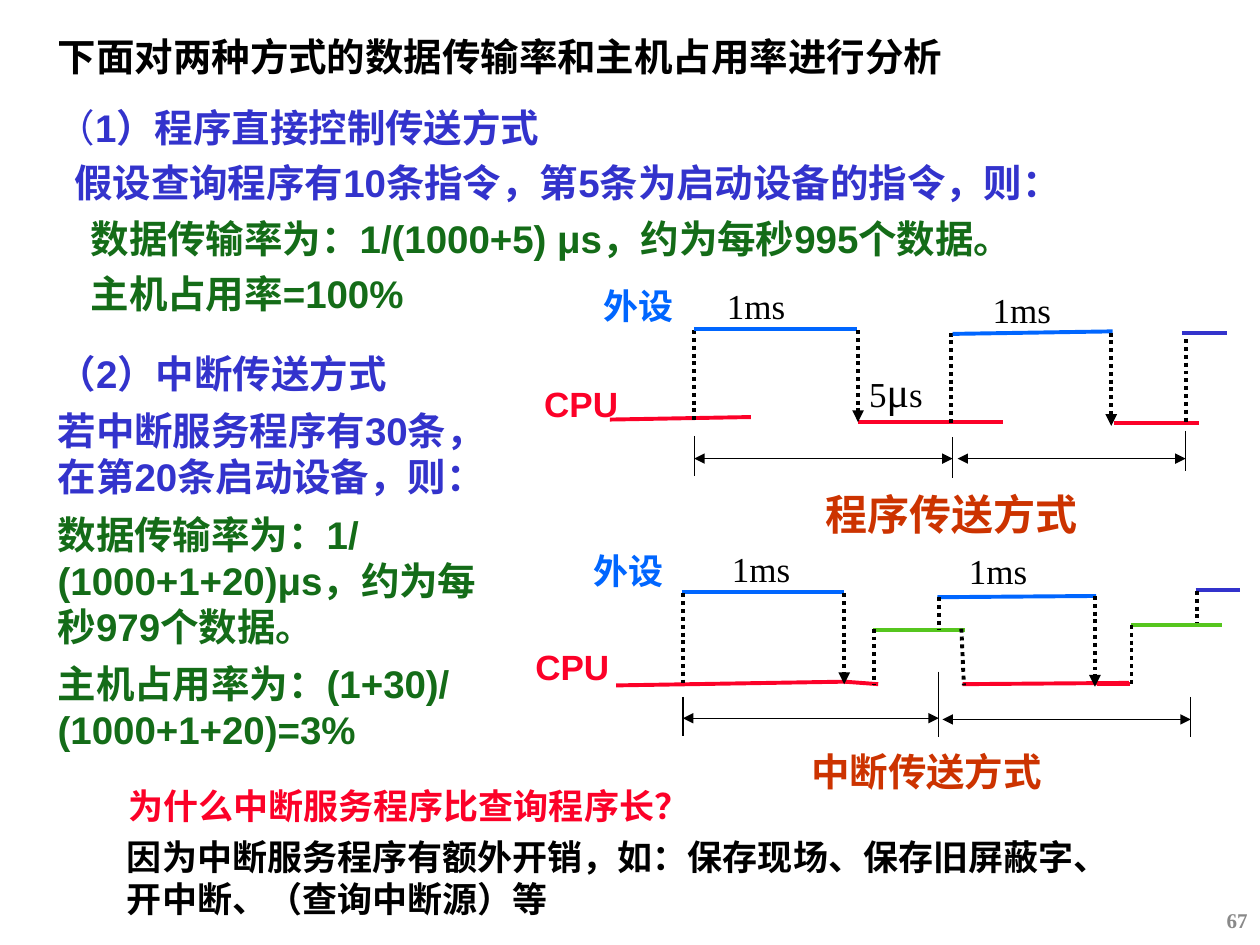
from lxml.etree import SubElement
from pptx import Presentation
from pptx.dml.color import RGBColor
from pptx.enum.dml import MSO_LINE_DASH_STYLE as Dash
from pptx.enum.shapes import MSO_CONNECTOR as Connector, MSO_SHAPE as Shape
from pptx.enum.text import MSO_ANCHOR as Anchor, PP_ALIGN as Align
from pptx.oxml.ns import qn
from pptx.util import Cm, Pt

COLORS = {
    "black": "000000", "white": "FFFFFF", "indigo": "3333CC", "green": "146C18",
    "red": "FC0128", "blue": "0066FF", "orange": "CC3300", "lime": "56C61E", "gray": "898989",
}
SANS, SERIF, CJK = "Arial", "Times New Roman", "Noto Sans CJK SC"

TEXT_STYLES = {
    "title": (CJK, 22, "black", True),
    "opening": (SANS, 22, "indigo", False),
    "premise": (SANS, 22, "indigo", True),
    "result": (SANS, 22, "green", True),
    "device": (SERIF, 20, "blue", True),
    "cpu": (SANS, 20, "red", True),
    "time": (SERIF, 20, "black", False),
    "micro": (SERIF, 24, "black", False),
    "program caption": (SERIF, 24, "orange", True),
    "interrupt caption": (SERIF, 22, "orange", True),
    "answer": (SANS, 20, "black", True),
    "number": (SERIF, 12, "gray", True),
}

TITLE = [[("下面对两种方式的数据传输率和主机占用率进行分析", "title")]]
PROGRAM = [
    [("（", "opening"), ("1）程序直接控制传送方式", "premise")],
    [("假设查询程序有10条指令，第5条为启动设备的指令，则：", "premise")],
    [("数据传输率为：1/(1000+5) μs，约为每秒995个数据。", "result")],
    [("主机占用率=100%", "result")],
]
PROGRAM_INDENTS = [0, 0.14, 0.27, 0.27]
INTERRUPT = [
    [("（2）中断传送方式", "premise")],
    [("若中断服务程序有30条，在第20条启动设备，则：", "premise")],
    [("数据传输率为：1/(1000+1+20)μs，约为每秒979个数据。", "result")],
    [("主机占用率为：(1+30)/(1000+1+20)=3%", "result")],
]
QUESTION = [[("为什么中断服务程序比查询程序长？", "cpu")]]
ANSWER = [[("因为中断服务程序有额外开销，如：保存现场、保存旧屏蔽字、"
            "开中断、（查询中断源）等", "answer")]]

LABELS = [
    ((4.69, 2.21, 1.19, 0.43), [("外设", "device")]),
    ((4.22, 2.99, 1.3, 0.43), [("CPU", "cpu")]),
    ((6.8, 2.85, 1.1, 0.5), [("5", "time"), ("μ", "micro"), ("s", "time")]),
    ((5.67, 2.21, 1.1, 0.43), [("1ms", "time")]),
    ((7.78, 2.24, 1.1, 0.43), [("1ms", "time")]),
    ((6.45, 3.83, 2.23, 0.5), [("程序传送方式", "program caption")]),
    ((4.61, 4.31, 1.17, 0.43), [("外设", "device")]),
    ((4.15, 5.07, 1.29, 0.43), [("CPU", "cpu")]),
    ((5.71, 4.3, 1.09, 0.43), [("1ms", "time")]),
    ((7.59, 4.31, 1.09, 0.43), [("1ms", "time")]),
    ((6.34, 5.89, 2.05, 0.47), [("中断传送方式", "interrupt caption")]),
]

LINE_STYLES = {
    "cpu": ("red", 2.25, False, ()),
    "device": ("blue", 2.25, False, ()),
    "next device": ("indigo", 2.25, False, ()),
    "service": ("lime", 2.25, False, ()),
    "edge": ("black", 2.25, True, ()),
    "request": ("black", 2.25, True, ("tailEnd",)),
    "tick": ("black", 0.75, False, ()),
    "span": ("black", 0.75, False, ("headEnd", "tailEnd")),
}
PROGRAM_TIMING = {
    "cpu": [(4.84, 3.33, 5.96, 3.31), (6.81, 3.35, 7.96, 3.35), (8.84, 3.36, 9.52, 3.36)],
    "edge": [(5.51, 2.62, 5.51, 3.34), (7.55, 2.64, 7.55, 3.37), (9.41, 2.63, 9.41, 3.35)],
    "device": [(5.51, 2.61, 6.8, 2.61), (7.56, 2.65, 8.83, 2.63)],
    "next device": [(9.38, 2.64, 9.74, 2.64)],
    "request": [(6.81, 2.62, 6.81, 3.35), (8.82, 2.64, 8.82, 3.38)],
    "tick": [(5.51, 3.46, 5.51, 3.78), (7.56, 3.47, 7.56, 3.79), (9.41, 3.42, 9.41, 3.74)],
    "span": [(5.51, 3.64, 7.56, 3.64), (7.6, 3.64, 9.41, 3.64)],
}
INTERRUPT_TIMING = {
    "cpu": [(4.89, 5.44, 6.72, 5.41), (6.7, 5.41, 6.97, 5.43),
            (8.71, 5.43, 8.97, 5.43), (7.64, 5.43, 8.96, 5.42)],
    "device": [(5.41, 4.7, 6.7, 4.7), (7.44, 4.74, 8.7, 4.73)],
    "next device": [(9.49, 4.68, 9.84, 4.68)],
    "request": [(6.7, 4.71, 6.7, 5.43), (8.69, 4.73, 8.69, 5.45)],
    "tick": [(5.42, 5.53, 5.42, 5.84), (7.45, 5.33, 7.45, 5.85), (9.45, 5.53, 9.45, 5.85)],
    "span": [(5.42, 5.7, 7.45, 5.7), (7.48, 5.71, 9.45, 5.71)],
    "service": [(6.93, 5, 7.66, 5), (8.98, 4.96, 9.7, 4.96)],
    "edge": [(5.42, 4.71, 5.42, 5.42), (6.94, 4.99, 6.94, 5.43), (8.98, 4.96, 8.98, 5.43),
             (7.45, 4.74, 7.45, 4.99), (7.63, 4.99, 7.65, 5.44), (9.5, 4.69, 9.5, 4.94)],
}


def length(inches):
    return Cm(inches * 2.54)


def color(name):
    return RGBColor.from_string(COLORS[name])


def write(box, paragraphs, spacing=None, before=0, indents=(), align=Align.LEFT,
          anchor=Anchor.TOP, margins=(0.1, 0.05), wrap=True):
    frame = box.text_frame
    frame.word_wrap = wrap
    frame.vertical_anchor = anchor
    frame.margin_left = frame.margin_right = length(margins[0])
    frame.margin_top = frame.margin_bottom = length(margins[1])
    for index, spans in enumerate(paragraphs):
        para = frame.paragraphs[0] if index == 0 else frame.add_paragraph()
        para.alignment = align
        if spacing:
            para.line_spacing = spacing
        if before and index:
            para.space_before = Pt(before)
        if indents:
            para._p.get_or_add_pPr().set("marL", str(length(indents[index])))
        for text, style in spans:
            name, size, ink, bold = TEXT_STYLES[style]
            span = para.add_run()
            span.text = text
            span.font.name = name
            span.font.size = Pt(size)
            span.font.bold = bold
            span.font.color.rgb = color(ink)
            SubElement(span._r.get_or_add_rPr(), qn("a:ea")).set("typeface", CJK)


def add_text(slide, place, paragraphs, **layout):
    write(slide.shapes.add_textbox(*map(length, place)), paragraphs, **layout)


def add_timing(slide, timing):
    for style, segments in timing.items():
        ink, width, dotted, arrows = LINE_STYLES[style]
        for segment in segments:
            line = slide.shapes.add_connector(Connector.STRAIGHT, *map(length, segment))
            line.line.color.rgb = color(ink)
            line.line.width = Pt(width)
            if dotted:
                line.line.dash_style = Dash.ROUND_DOT
            for end in arrows:
                SubElement(line.line._get_or_add_ln(), qn(f"a:{end}")).set("type", "triangle")
            SubElement(line._element.spPr, qn("a:effectLst"))


def main():
    deck = Presentation()
    deck.slide_width, deck.slide_height = length(10), length(7.5)
    page = deck.slides.add_slide(deck.slide_layouts[6])

    add_text(page, (0.39, 0.28, 8.01, 0.38), TITLE, spacing=0.87, margins=(0.07, 0.03))
    add_text(page, (0.38, 0.72, 8.56, 2.25), PROGRAM, spacing=1.2,
             indents=PROGRAM_INDENTS, margins=(0.07, 0.03))
    add_text(page, (0.36, 2.73, 3.73, 3.36), INTERRUPT, before=6.3)

    add_timing(page, PROGRAM_TIMING)
    add_timing(page, INTERRUPT_TIMING)
    for place, spans in LABELS:
        add_text(page, place, [spans], wrap=spans[0][1] != "interrupt caption")

    add_text(page, (0.92, 6.18, 4.79, 0.43), QUESTION)
    answer = page.shapes.add_shape(Shape.RECTANGLE, *map(length, (0.91, 6.58, 8.13, 0.77)))
    answer.shadow.inherit = False
    answer.fill.solid()
    answer.fill.fore_color.rgb = color("white")
    answer.line.fill.background()
    write(answer, ANSWER)
    add_text(page, (7.75, 7.1, 2.25, 0.4), [[("67", "number")]],
             align=Align.RIGHT, anchor=Anchor.MIDDLE)
    deck.save("out.pptx")


if __name__ == "__main__":
    main()
